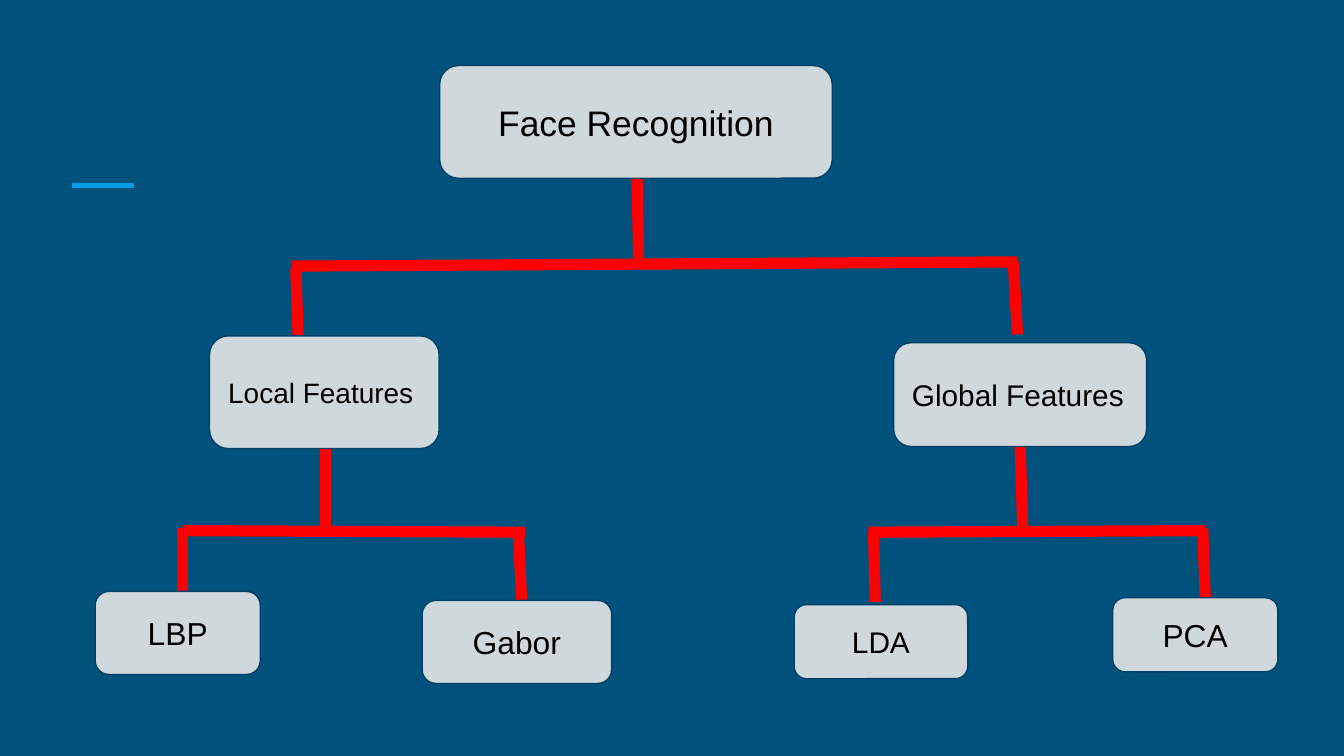
from pptx import Presentation
from pptx.dml.color import RGBColor
from pptx.enum.shapes import MSO_CONNECTOR, MSO_SHAPE
from pptx.enum.text import MSO_ANCHOR, PP_ALIGN
from pptx.oxml.ns import qn
from pptx.util import Cm, Pt
from lxml.etree import SubElement

BACKGROUND, ACCENT, BRANCH = "00517C", "039BE5", "FF0000"
BOX_FILL, BOX_EDGE, INK = "CFD8DC", "004065", "000000"
INSET = Cm(0.25)

# Text, left, top, width, height (cm), text size, alignment
BOXES = [
    ("Face Recognition", 8.31, 1.24, 7.42, 2.13, 19, PP_ALIGN.CENTER),
    ("Local Features", 3.96, 6.35, 4.34, 2.13, 15, PP_ALIGN.LEFT),
    ("Global Features", 16.89, 6.48, 4.78, 1.96, 16, PP_ALIGN.LEFT),
    ("LBP", 1.8, 11.18, 3.12, 1.57, 17, PP_ALIGN.CENTER),
    ("Gabor", 7.98, 11.35, 3.58, 1.57, 17, PP_ALIGN.CENTER),
    ("LDA", 15.01, 11.43, 3.28, 1.4, 16, PP_ALIGN.CENTER),
    ("PCA", 21.03, 11.3, 3.12, 1.4, 17, PP_ALIGN.CENTER),
]

# Each fork: trunk, crossbar, left drop, right drop as (x1, y1, x2, y2) in cm
FORKS = [
    [(12.04, 3.38, 12.07, 4.9), (5.51, 5.03, 19.23, 4.95),
     (5.59, 5.08, 5.64, 6.48), (19.15, 4.95, 19.23, 6.32)],
    [(6.15, 8.48, 6.15, 10.06), (3.45, 10.03, 9.93, 10.06),
     (3.45, 9.98, 3.45, 11.35), (9.8, 10.11, 9.86, 11.38)],
    [(19.28, 8.43, 19.33, 9.98), (16.41, 10.06, 22.78, 10.03),
     (16.51, 10.06, 16.54, 11.38), (22.73, 9.98, 22.78, 11.35)],
]


def color(hex_string):
    return RGBColor.from_string(hex_string)


def add_line(page, ends, line_color, width):
    line = page.shapes.add_connector(
        MSO_CONNECTOR.STRAIGHT, *[Cm(value) for value in ends])
    line.line.color.rgb = color(line_color)
    line.line.width = Pt(width)
    SubElement(line._element.spPr, qn("a:effectLst"))  # no shadow


def add_box(page, text, left, top, width, height, size, alignment):
    box = page.shapes.add_shape(
        MSO_SHAPE.ROUNDED_RECTANGLE, Cm(left), Cm(top), Cm(width), Cm(height))
    box.shadow.inherit = False
    box.fill.solid()
    box.fill.fore_color.rgb = color(BOX_FILL)
    box.line.color.rgb = color(BOX_EDGE)
    box.line.width = Pt(0.75)

    frame = box.text_frame
    frame.text = text
    frame.word_wrap = True
    frame.vertical_anchor = MSO_ANCHOR.MIDDLE
    frame.margin_left = frame.margin_right = INSET
    frame.margin_top = frame.margin_bottom = INSET
    para = frame.paragraphs[0]
    para.alignment = alignment
    font = para.runs[0].font
    font.name, font.size = "Arial", Pt(size)
    font.color.rgb = color(INK)


def main():
    deck = Presentation()
    deck.slide_width, deck.slide_height = Cm(25.4), Cm(14.29)
    page = deck.slides.add_slide(deck.slide_layouts[6])
    page.background.fill.solid()
    page.background.fill.fore_color.rgb = color(BACKGROUND)

    # Accent dash
    add_line(page, (1.37, 3.51, 2.54, 3.51), ACCENT, 3)

    # Branches of the tree, behind its boxes
    for fork in FORKS:
        for ends in fork:
            add_line(page, ends, BRANCH, 6)

    # Boxes of the tree
    for box in BOXES:
        add_box(page, *box)

    deck.save("out.pptx")


if __name__ == "__main__":
    main()
